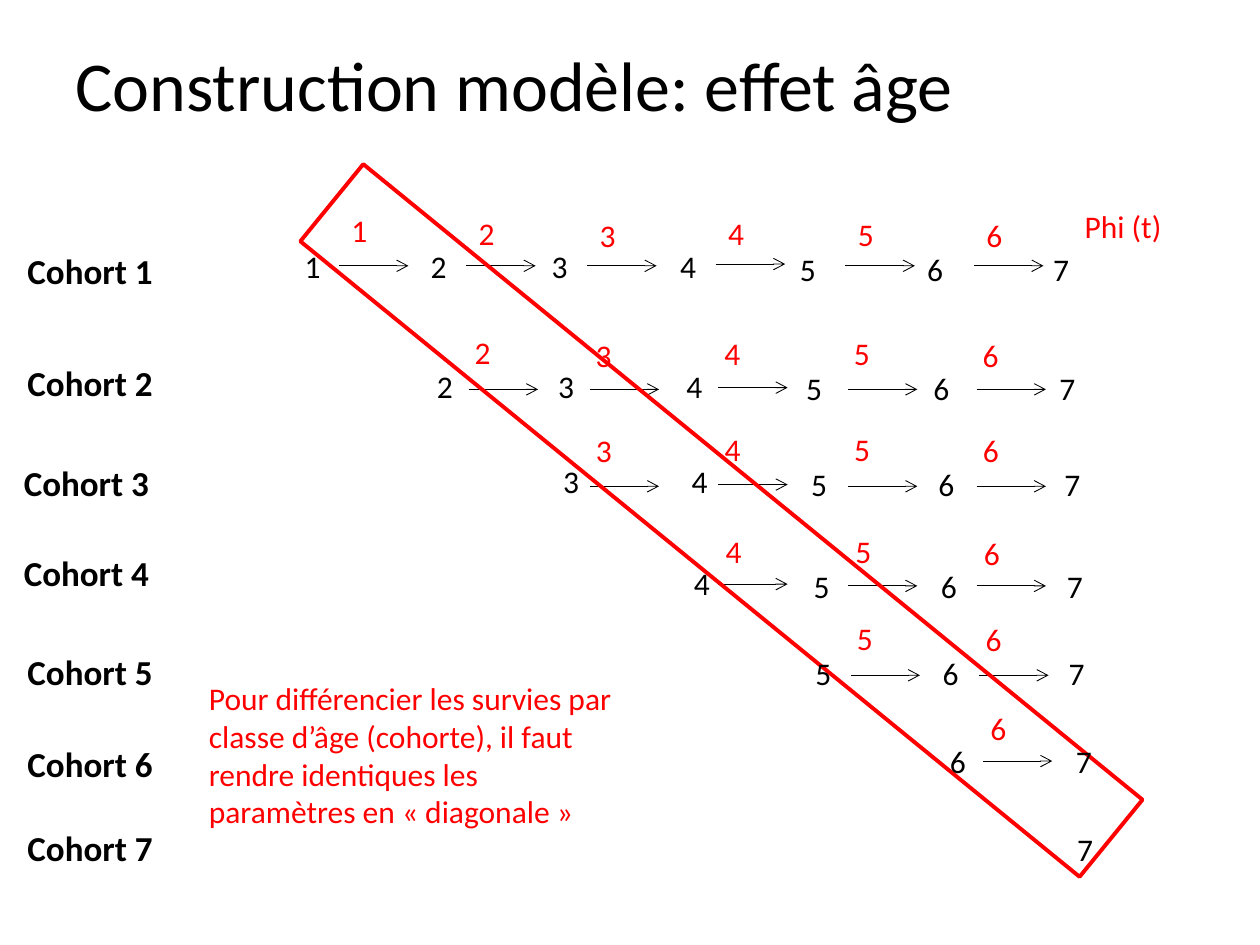
from dataclasses import dataclass

import pptx
import pptx.dml.color
import pptx.enum.shapes
import pptx.enum.text
import pptx.oxml
import pptx.oxml.ns
import pptx.util
from pptx.util import Pt


@dataclass(frozen=True)
class Theme:
    """Colours, font and sizes of the slide."""
    font: str = "Calibri"
    ink: str = "000000"
    accent: str = "FF0000"
    title: float = 40
    label: float = 20
    body: float = 18
    arrow: float = 0.5
    outline: float = 2.25


@dataclass(frozen=True)
class Box:
    """Place on the slide, in points."""
    left: float
    top: float
    width: float
    height: float

    def within(self, left, top, width, height):
        """Return a box placed relative to this one."""
        return Box(self.left + left, self.top + top, width, height)

    def lengths(self):
        """Return left, top, width and height as lengths."""
        return Pt(self.left), Pt(self.top), Pt(self.width), Pt(self.height)


@dataclass(frozen=True)
class Cohort:
    """Place of one cohort and the shifts of its parts, in points."""
    left: float
    top: float
    label_left: float
    label_drop: float
    arrow_shift: float = 0
    arrow_drop: float = 0
    phi_shift: float = 0


THEME = Theme()
LAST_AGE = 7
AGE_LEFTS = [167, 239, 308.2, 381.6, 450, 522.7, 594.7]
AGE_DROPS = [0, 0, 0, 0, 1.6, 1.6, 1.6]
ARROW_LEFTS = [193.7, 266.4, 335.5, 409, 483.1, 556.6]
ARROW_DROPS = [0, 0, 0, -1, 0, 0]
PHI_DROPS = [-20.5, -19, -17.6, -18.6, -18.3, -17.6]
COHORTS = [
    Cohort(0, 137.5, 8.6, 1.4, 0, 14.4, 0),
    Cohort(3.6, 205.9, 8.6, -2.9, -2.2, 16.6, -5.8),
    Cohort(6.5, 260.6, 6.5, -0.7, -5.1, 17.3, -8.6),
    Cohort(7.9, 319, 6.5, -7.2, -6.5, 15.8, -9.3),
    Cohort(8.9, 368.6, 8.6, -0.7, -6, 17.3, -9.4),
    Cohort(13, 419, 8.6, 1.5, -8, 15.9, -10.8),
    Cohort(13.7, 469.4, 8.6, -0.7),
]


def colour(value):
    """Return the colour for a hex value."""
    return pptx.dml.color.RGBColor.from_string(value)


def add_span(para, text, size, tint, bold=False):
    """Add one formatted run to a paragraph."""
    span = para.add_run()
    span.text = text
    span.font.name = THEME.font
    span.font.size = Pt(size)
    span.font.color.rgb = colour(tint)
    span.font.bold = bold


def add_text(page, box, text, tint, size=THEME.body, bold=False, wrap=True):
    """Add a text box holding one paragraph."""
    frame = page.shapes.add_textbox(*box.lengths()).text_frame
    frame.word_wrap = wrap
    add_span(frame.paragraphs[0], text, size, tint, bold)


def add_arrow(page, box):
    """Add a thin horizontal arrow along the top of a box."""
    left, top, width, _ = box.lengths()
    arrow = page.shapes.add_connector(
        pptx.enum.shapes.MSO_CONNECTOR.STRAIGHT, left, top, left + width, top)
    arrow.line.color.rgb = colour(THEME.ink)
    arrow.line.width = Pt(THEME.arrow)
    names = pptx.oxml.ns.nsdecls("a")
    properties = arrow._element.spPr
    properties.find(pptx.oxml.ns.qn("a:ln")).append(
        pptx.oxml.parse_xml(f'<a:tailEnd {names} type="arrow"/>'))
    properties.append(pptx.oxml.parse_xml(f'<a:effectLst {names}/>'))


def place_title(page, box, text):
    """Move and fill the title placeholder."""
    title = page.shapes.title
    title.left, title.top, title.width, title.height = box.lengths()
    frame = title.text_frame
    frame.word_wrap = True
    frame.vertical_anchor = pptx.enum.text.MSO_ANCHOR.MIDDLE
    para = frame.paragraphs[0]
    para.alignment = pptx.enum.text.PP_ALIGN.LEFT
    para.line_spacing = 0.9
    add_span(para, text, THEME.title, THEME.ink)


def place_label(page, box, number):
    """Place the bold name of a cohort."""
    add_text(page, box, f"Cohort {number}", THEME.ink, THEME.label, True)


def place_survivals(page, box, cohort, first_age):
    """Place the arrows between ages and their survival numbers."""
    for age in range(first_age, LAST_AGE):
        column = age - 1
        left = ARROW_LEFTS[column]
        add_arrow(page, box.within(left + cohort.arrow_shift,
                                   cohort.arrow_drop + ARROW_DROPS[column], 39.7, 0))
        add_text(page, box.within(left + cohort.phi_shift, PHI_DROPS[column], 39.7, 29),
                 str(age), THEME.accent)


def place_ages(page, box, first_age):
    """Place the age numbers of a cohort."""
    for age in range(first_age, LAST_AGE + 1):
        add_text(page, box.within(AGE_LEFTS[age - 1], AGE_DROPS[age - 1], 47.5, 29),
                 str(age), THEME.ink)


def place_diagonal(page, box):
    """Outline the diagonal of parameters with a turned rectangle."""
    frame = page.shapes.add_shape(
        pptx.enum.shapes.MSO_SHAPE.RECTANGLE, *box.lengths())
    frame.rotation = 309.2
    frame.shadow.inherit = False
    frame.fill.background()
    frame.line.color.rgb = colour(THEME.accent)
    frame.line.width = Pt(THEME.outline)


def place_note(page, box):
    """Place the remark about equal parameters."""
    add_text(page, box, "Pour différencier les survies par classe d’âge (cohorte), "
             "il faut rendre identiques les paramètres en « diagonale »", THEME.accent)


def main():
    """Build the slide and save it."""
    deck = pptx.Presentation()
    deck.slide_width, deck.slide_height = Pt(720), Pt(540)
    page = deck.slides.add_slide(deck.slide_layouts[5])
    place_title(page, Box(36, 21.6, 648, 58.3), "Construction modèle: effet âge")
    add_text(page, Box(612.7, 114.5, 59, 29), "Phi (t)", THEME.accent, wrap=False)
    rows = [Box(cohort.left, cohort.top, 670, 29) for cohort in COHORTS]
    for number, (cohort, row) in enumerate(zip(COHORTS, rows), 1):
        place_label(page, Box(cohort.label_left, row.top + cohort.label_drop, 167, 31.5),
                    number)
        place_survivals(page, row, cohort, number)
    place_note(page, Box(112.3, 384.5, 252, 94.3))
    place_diagonal(page, Box(383.8, 10.1, 56.9, 574.6))
    for number, row in enumerate(rows, 1):
        place_ages(page, row, number)
    deck.save("out.pptx")


if __name__ == "__main__":
    main()
